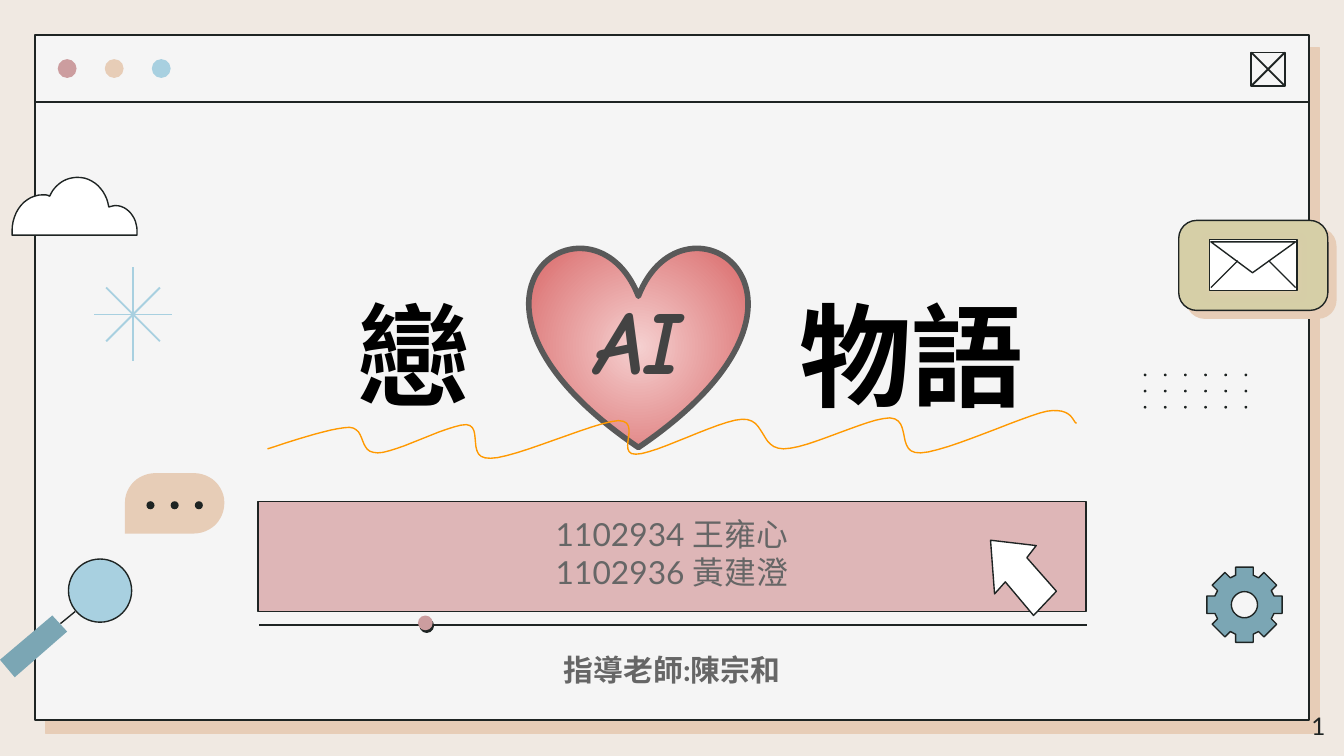
from math import cos, sin, tau
from lxml import etree
from pptx import Presentation
from pptx.dml.color import RGBColor
from pptx.enum.shapes import MSO_CONNECTOR, MSO_SHAPE
from pptx.enum.text import MSO_ANCHOR, MSO_AUTO_SIZE, PP_ALIGN
from pptx.oxml import parse_xml
from pptx.oxml.ns import nsdecls, qn
from pptx.util import Inches, Pt

INK, PAPER, WHITE = "1E2423", "F5F5F5", "FFFFFF"
ROSE, SAND, SKY, TEAL = "CC9D9F", "E7CDB7", "A8D0E0", "7BA6B4"
GREY = "666666"


def rgb(value):
    """Turn a hex string into a colour."""
    return RGBColor.from_string(value)


def style(s, fill=None, line=None, width=0.75):
    """Give a shape its fill and outline and no shadow."""
    s.shadow.inherit = False
    if fill:
        s.fill.solid()
        s.fill.fore_color.rgb = rgb(fill)
    else:
        s.fill.background()
    if line:
        s.line.color.rgb = rgb(line)
        s.line.width = Pt(width)
    else:
        s.line.fill.background()
    return s


def add_shadow(s, color, alpha, blur, dist, angle):
    """Add an outer shadow measured in points and degrees."""
    s._element.spPr.find(qn("a:effectLst")).append(parse_xml(
        f'<a:outerShdw {nsdecls("a")} blurRad="{Pt(blur)}" dist="{Pt(dist)}" '
        f'dir="{angle * 60000}" algn="bl" rotWithShape="0"><a:srgbClr val="{color}">'
        f'<a:alpha val="{alpha * 1000}"/></a:srgbClr></a:outerShdw>'))


def preset(shapes, kind, x, y, w, h, fill=None, line=None, width=0.75):
    """Add a styled preset shape."""
    s = shapes.add_shape(kind, Inches(x), Inches(y), Inches(w), Inches(h))
    return style(s, fill, line, width)


def dot(shapes, x, y, d, fill, line=None):
    """Add a circle by its top left corner and diameter."""
    return preset(shapes, MSO_SHAPE.OVAL, x, y, d, d, fill, line)


def rule(shapes, x1, y1, x2, y2, color=INK, width=0.75):
    """Add a straight line without a shadow."""
    s = shapes.add_connector(MSO_CONNECTOR.STRAIGHT, Inches(x1), Inches(y1), Inches(x2), Inches(y2))
    s.line.color.rgb = rgb(color)
    s.line.width = Pt(width)
    etree.SubElement(s._element.spPr, qn("a:effectLst"))
    return s


def curve(start, *segments, steps=12):
    """Sample cubic segments of six numbers, and lines of two, into points."""
    points = [start]
    for seg in segments:
        if len(seg) == 2:
            points.append(seg)
            continue
        (x0, y0), (x1, y1, x2, y2, x3, y3) = points[-1], seg
        for t in (i / steps for i in range(1, steps + 1)):
            a, b, c, d = (1 - t) ** 3, 3 * t * (1 - t) ** 2, 3 * t * t * (1 - t), t ** 3
            points.append((a * x0 + b * x1 + c * x2 + d * x3, a * y0 + b * y1 + c * y2 + d * y3))
    return points


def outline(shapes, x, y, contours, fill=None, line=None, close=True):
    """Draw contours given in hundredths of an inch from a corner."""
    scaled = [[(px * 10, py * 10) for px, py in pts] for pts in contours]
    builder = shapes.build_freeform(*scaled[0][0], scale=914.4)
    builder.add_line_segments(scaled[0][1:], close=close)
    for pts in scaled[1:]:
        builder.move_to(*pts[0])
        builder.add_line_segments(pts[1:], close=close)
    return style(builder.convert_to_shape(Inches(x), Inches(y)), fill, line)


def write(s, lines, size, font, color, align=PP_ALIGN.CENTER, anchor=MSO_ANCHOR.TOP, bold=False, italic=False):
    """Fill a shape with formatted lines of text."""
    tf = s.text_frame
    tf.word_wrap = True
    tf.auto_size = MSO_AUTO_SIZE.NONE
    tf.vertical_anchor = anchor
    tf.margin_left = tf.margin_right = tf.margin_top = tf.margin_bottom = Inches(0.1)
    tf.text = "\n".join(lines)
    for p in tf.paragraphs:
        p.alignment = align
        for r in p.runs:
            f = r.font
            f.size, f.name, f.bold, f.italic = Pt(size), font, bold, italic
            f.color.rgb = rgb(color)


def label(shapes, x, y, w, h, text, size, **options):
    """Add a text box with one line of text."""
    s = shapes.add_textbox(Inches(x), Inches(y), Inches(w), Inches(h))
    write(s, [text], size, "Lato", **options)


def window(shapes, x, y, w, h):
    """Draw the browser window with its title bar."""
    s = preset(shapes, MSO_SHAPE.RECTANGLE, x, y, w, h, PAPER, INK, 1)
    add_shadow(s, SAND, 100, 0, 9, 51)
    rule(shapes, x, y + 0.5, x + w, y + 0.5, width=1)
    for i, color in enumerate((ROSE, SAND, SKY)):
        dot(shapes, x + 0.17 + 0.35 * i, y + 0.18, 0.14, color)
    bx, by, d = x + w - 0.43, y + 0.13, 0.25
    preset(shapes, MSO_SHAPE.RECTANGLE, bx, by, d, d, None, INK, 1)
    rule(shapes, bx, by, bx + d, by + d, width=1)
    rule(shapes, bx + d, by, bx, by + d, width=1)


def magnifier(shapes, x, y):
    """Draw the magnifying glass."""
    dot(shapes, x + 0.51, y, 0.47, SKY, INK)
    outline(shapes, x, y + 0.42, [[(0, 33), (11, 46), (50, 12), (39, 0)]], TEAL)
    rule(shapes, x + 0.56, y + 0.39, x + 0.45, y + 0.48)


def cloud(shapes, x, y):
    """Draw the cloud."""
    pts = curve((93, 43), (93, 40), (93, 30, 86, 21, 77, 21), (75, 21, 73, 22, 72, 22),
                (70, 9, 60, 0, 49, 0), (40, 0, 32, 5, 28, 14), (26, 13, 25, 13, 23, 13),
                (10, 13, 0, 25, 0, 40), (0, 43))
    outline(shapes, x, y, [pts], WHITE, INK)


def gear(shapes, x, y):
    """Draw the gear by turning a quarter of its rim around the hole."""
    quarter = [(6.5, -28), (6.5, -22), (10.5, -20), (14.5, -24),
               (24, -14.5), (20, -10.5), (22, -6.5), (28, -6.5)]
    rim = []
    for _ in range(4):
        rim += quarter
        quarter = [(-py, px) for px, py in quarter]
    hole = [(9.7 * cos(tau * i / 36), -9.7 * sin(tau * i / 36)) for i in range(36)]
    outline(shapes, x + 0.28, y + 0.28, [rim, hole], TEAL, INK)


def mail(shapes, x, y, w, h):
    """Draw the envelope button."""
    s = preset(shapes, MSO_SHAPE.ROUNDED_RECTANGLE, x, y, w, h, "D6CFA7", INK)
    s.adjustments[0] = 0.2
    add_shadow(s, SAND, 100, 0, 6, 44)
    s = preset(shapes, MSO_SHAPE.RECTANGLE, x + 0.23, y + 0.14, 0.65, 0.38, WHITE, INK)
    add_shadow(s, SAND, 50, 4.5, 1.5, 90)
    outline(shapes, x + 0.24, y + 0.16, [[(0, 0), (31, 23), (63, 0)]], None, INK)
    rule(shapes, x + 0.24, y + 0.5, x + 0.44, y + 0.3)
    rule(shapes, x + 0.87, y + 0.5, x + 0.67, y + 0.3)


def sparkle(shapes, cx, cy):
    """Draw the eight-pointed star of lines."""
    for dx, dy in ((0, 0.35), (0.29, 0), (0.2, -0.2), (0.2, 0.2)):
        rule(shapes, cx - dx, cy - dy, cx + dx, cy + dy, SKY, 1)


def slider(shapes, x, y, w):
    """Draw the slider line and its knob."""
    rule(shapes, x, y, x + w, y)
    dot(shapes, x + 1.19, y - 0.05, 0.11, INK)
    dot(shapes, x + 1.18, y - 0.07, 0.11, ROSE)


def dot_grid(shapes, x, y):
    """Draw three rows of six small dots."""
    for i in range(18):
        dot(shapes, x + 0.15 * (i % 6), y + 0.12 * (i // 6), 0.02, INK)


def bubble(shapes, x, y):
    """Draw the speech bubble with three dots."""
    pts = curve((51, 45), (0, 45), (0, 22), (0, 10, 10, 0, 23, 0), (51, 0),
                (64, 0, 74, 10, 74, 22), (74, 35, 64, 45, 51, 45))
    outline(shapes, x, y, [pts], SAND)
    for i in range(3):
        dot(shapes, x + 0.16 + 0.18 * i, y + 0.21, 0.06, INK)


def heart(shapes, x, y, w, h):
    """Draw the heart with its radial gradient and word."""
    s = preset(shapes, MSO_SHAPE.HEART, x, y, w, h, WHITE, "595959", 3)
    solid = s._element.spPr.find(qn("a:solidFill"))
    solid.getparent().replace(solid, parse_xml(
        f'<a:gradFill {nsdecls("a")}><a:gsLst><a:gs pos="0"><a:srgbClr val="F5D0D0"/></a:gs>'
        '<a:gs pos="100000"><a:srgbClr val="D96868"/></a:gs></a:gsLst><a:path path="circle">'
        '<a:fillToRect l="50000" t="50000" r="50000" b="50000"/></a:path></a:gradFill>'))
    write(s, ["AI"], 48, "Comic Neue", "434343", anchor=MSO_ANCHOR.MIDDLE, bold=True, italic=True)


def wave(shapes, x, y):
    """Draw the wavy underline."""
    pts = curve((0, 28), (10, 25, 47, 12, 61, 12), (74, 13, 67, 31, 82, 31), (96, 31, 134, 10, 148, 10),
                (161, 11, 147, 36, 166, 35), (184, 35, 243, 8, 261, 7), (279, 7, 259, 32, 274, 32),
                (289, 32, 335, 7, 353, 6), (371, 5, 366, 28, 384, 28), (403, 28, 446, 5, 463, 5),
                (480, 6, 467, 32, 486, 31), (506, 30, 561, 4, 580, 0), (599, -3, 599, 8, 602, 9))
    outline(shapes, x, y, [pts], None, "FF9900", close=False)


def heading(shapes, x, y, w, h):
    """Place the title, with a tab that leaves room for the heart."""
    s = shapes.title
    s.left, s.top, s.width, s.height = Inches(x), Inches(y), Inches(w), Inches(h)
    write(s, ["戀\t物語"], 60, "Arial", "000000", PP_ALIGN.LEFT, MSO_ANCHOR.BOTTOM, True)
    s.text_frame.margin_left = Inches(1.29)
    tabs = etree.SubElement(s.text_frame.paragraphs[0]._p.get_or_add_pPr(), qn("a:tabLst"))
    etree.SubElement(tabs, qn("a:tab"), pos=str(Inches(3.29)), algn="l")
    shapes._spTree.append(s._element)


def cover(prs):
    """Build the cover slide."""
    slide = prs.slides.add_slide(prs.slide_layouts[5])
    slide.background.fill.solid()
    slide.background.fill.fore_color.rgb = rgb("F0E9E2")
    shapes = slide.shapes
    window(shapes, 0.26, 0.26, 9.48, 5.1)
    magnifier(shapes, 0, 4.16)
    cloud(shapes, 0.09, 1.32)
    gear(shapes, 8.98, 4.22)
    s = preset(shapes, MSO_SHAPE.RECTANGLE, 1.92, 3.73, 6.16, 0.82, "DEB6B7", INK)
    write(s, ["1102934 王雍心", "1102936 黃建澄"], 17, "Lato", GREY)
    mail(shapes, 8.77, 1.64, 1.11, 0.67)
    sparkle(shapes, 0.99, 2.34)
    slider(shapes, 1.93, 4.65, 6.16)
    dot_grid(shapes, 8.51, 2.78)
    bubble(shapes, 0.93, 3.52)
    cursor = [(34, 4), (0, 0), (3, 40), (11, 31), (32, 56), (49, 38), (27, 13)]
    outline(shapes, 7.37, 4.02, [cursor], WHITE, INK)
    heading(shapes, 1.37, 1.02, 7.34, 2.21)
    heart(shapes, 3.94, 1.83, 1.62, 1.5)
    wave(shapes, 1.99, 3.06)
    label(shapes, 9.36, 5.19, 0.6, 0.43, "1", 13, color=INK, align=PP_ALIGN.RIGHT)
    label(shapes, 1.85, 4.75, 6.3, 0.47, "指導老師:陳宗和", 16, color=GREY, bold=True)


def main():
    """Create the deck and save it."""
    prs = Presentation()
    prs.slide_width = Inches(10)
    prs.slide_height = prs.slide_width * 9 // 16
    cover(prs)
    prs.save("out.pptx")


if __name__ == "__main__":
    main()
